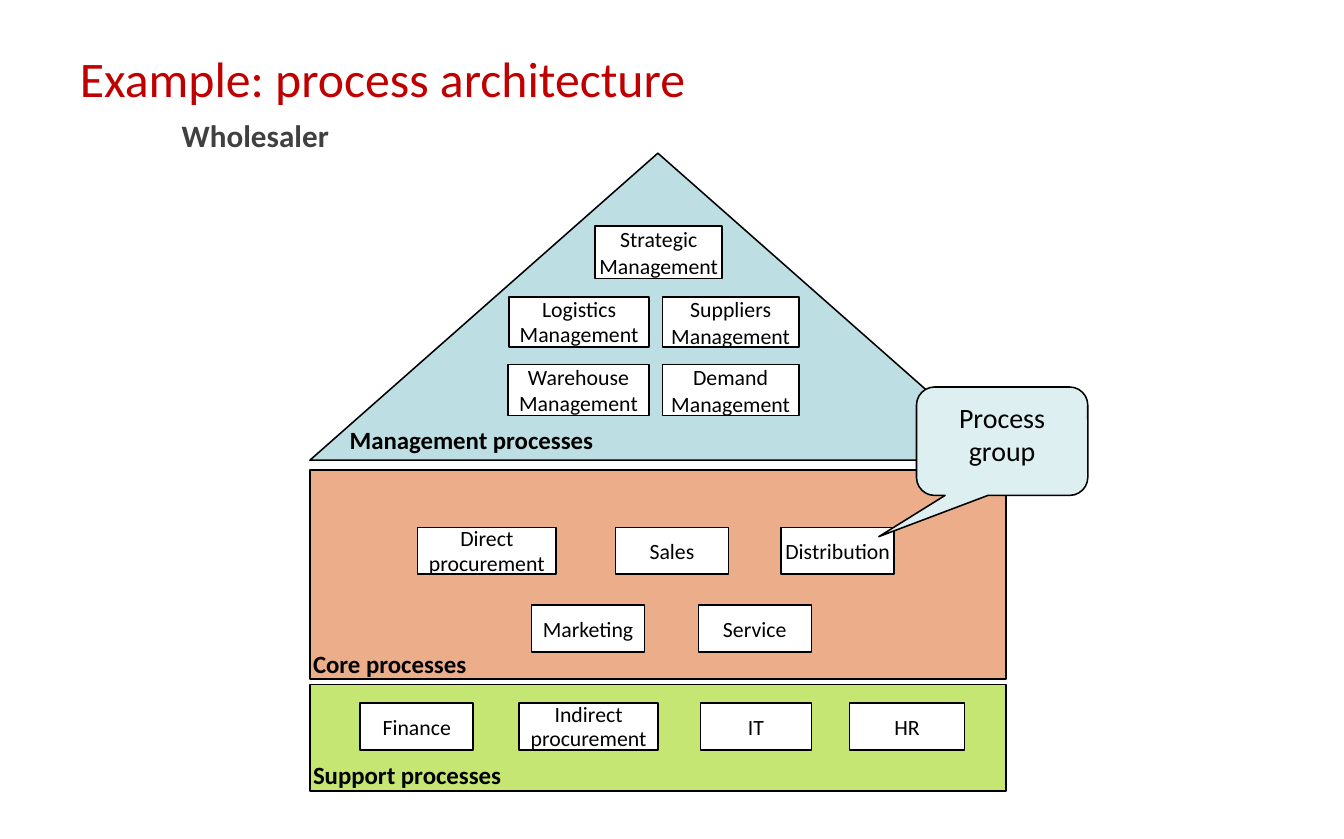
import pptx
import pptx.util
import pptx.dml.color
import pptx.enum.shapes
import pptx.enum.text

Pt = pptx.util.Pt
SHAPE = pptx.enum.shapes.MSO_SHAPE
ALIGN = pptx.enum.text.PP_ALIGN
ANCHOR = pptx.enum.text.MSO_ANCHOR

THEME = {
    "font": "Calibri",
    "title": "C00000", "subtitle": "404040", "ink": "000000", "process": "FFFFFF",
    "management": "BDDFE3", "core": "ECAD8A", "support": "C5E672", "callout": "DEEFF1",
    "title_size": 32, "subtitle_size": 20, "callout_size": 18,
    "layer_size": 16, "process_size": 14,
}


def add_part(kind, left, top, width, height, fill):
    part = slide.shapes.add_shape(kind, Pt(left), Pt(top), Pt(width), Pt(height))
    part.shadow.inherit = False
    part.fill.solid()
    part.fill.fore_color.rgb = pptx.dml.color.RGBColor.from_string(THEME[fill])
    part.line.color.rgb = pptx.dml.color.RGBColor.from_string(THEME["ink"])
    part.line.width = Pt(1)
    return part


def write(part, text, role, color="ink", bold=False, align=ALIGN.CENTER,
          anchor=ANCHOR.MIDDLE, insets=(0, 0, 0, 0), pitch=None):
    frame = part.text_frame
    frame.word_wrap = True
    frame.vertical_anchor = anchor
    frame.margin_left, frame.margin_top, frame.margin_right, frame.margin_bottom = map(Pt, insets)
    frame.text = text
    for paragraph in frame.paragraphs:
        paragraph.alignment = align
        if pitch:
            paragraph.line_spacing = Pt(pitch)
        paragraph.font.name = THEME["font"]
        paragraph.font.size = Pt(THEME[role + "_size"])
        paragraph.font.bold = bold
        paragraph.font.color.rgb = pptx.dml.color.RGBColor.from_string(THEME[color])
    return frame


presentation = pptx.Presentation()
presentation.slide_width = Pt(864.72)
presentation.slide_height = Pt(540)
slide = presentation.slides.add_slide(presentation.slide_layouts[6])

heading = slide.shapes.add_textbox(Pt(50.4), Pt(20.9), Pt(420), Pt(78.5))
heading_frame = write(heading, "Example: process architecture\nWholesaler", "title", "title",
                      align=ALIGN.LEFT, anchor=ANCHOR.TOP, insets=(1, 10, 0, 0))
subtitle = heading_frame.paragraphs[1]
subtitle._p.get_or_add_pPr().set("marL", str(Pt(65.5)))
subtitle.space_before = Pt(5.5)
subtitle.font.size = Pt(THEME["subtitle_size"])
subtitle.font.bold = True
subtitle.font.color.rgb = pptx.dml.color.RGBColor.from_string(THEME["subtitle"])

house_left, house_width = 199.4, 447.8
add_part(SHAPE.ISOSCELES_TRIANGLE, house_left, 98.6, house_width, 197.6, "management")
management_label = slide.shapes.add_textbox(Pt(225), Pt(272.2), Pt(160), Pt(21))
write(management_label, "Management processes", "layer", bold=True, align=ALIGN.LEFT,
      anchor=ANCHOR.TOP, insets=(0, 1, 0, 0))

for label, top, height, fill in [
    ("Core processes", 302.4, 134.6, "core"),
    ("Support processes", 440.6, 68.4, "support"),
]:
    layer = add_part(SHAPE.RECTANGLE, house_left, top, house_width, height, fill)
    write(layer, label, "layer", bold=True, align=ALIGN.LEFT, anchor=ANCHOR.BOTTOM,
          insets=(2, 0, 0, 0.6))

process_rows = [
    (145.4, 34, [("Strategic Management", 383, 81.7, 17.3)]),
    (191.2, 32, [("Logistics\nManagement", 327.6, 90, 16),
                 ("Suppliers\nManagement", 426.2, 87.8, 17.3)]),
    (234.7, 32.8, [("Warehouse\nManagement", 326.9, 90.7, 16.5),
                   ("Demand\nManagement", 426.2, 87.8, 17.3)]),
    (339.4, 30.2, [("Direct\nprocurement", 268.6, 89.3, 16),
                   ("Sales", 396, 72.7, None),
                   ("Distribution", 502.6, 72.7, None)]),
    (389.5, 30.2, [("Marketing", 342, 72.7, None),
                   ("Service", 449.3, 72.7, None)]),
    (452.5, 30.2, [("Finance", 231.8, 72.7, None),
                   ("Indirect\nprocurement", 334.1, 89.3, 16),
                   ("IT", 450.7, 71.3, None),
                   ("HR", 546.5, 74.2, None)]),
]
for top, height, processes in process_rows:
    for name, left, width, pitch in processes:
        process = add_part(SHAPE.RECTANGLE, left, top, width, height, "process")
        write(process, name, "process", pitch=pitch)

process_group = add_part(SHAPE.ROUNDED_RECTANGULAR_CALLOUT, 589.7, 249.1, 110.2, 69.8, "callout")
process_group.adjustments[0] = -0.72
process_group.adjustments[1] = 0.88
write(process_group, "Process group", "callout", anchor=ANCHOR.TOP, insets=(20, 5, 20, 0))

presentation.save("out.pptx")
